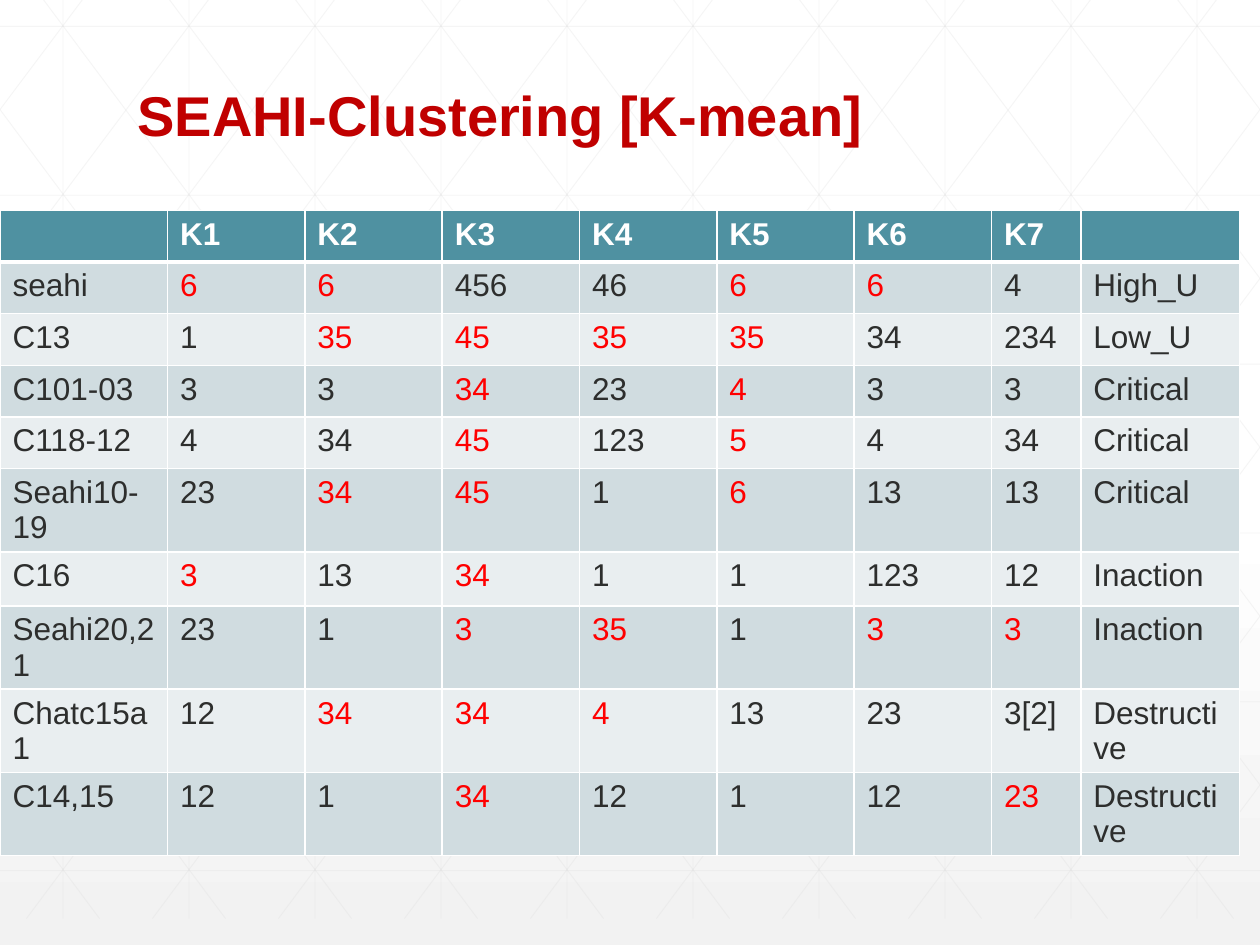
from lxml import etree
from pptx import Presentation
from pptx import util as u
from pptx.dml import color
from pptx.enum import shapes, text
from pptx.oxml import ns

PX = 9144  # 100 px to the inch
W, H = 1000, 750
COLORS = {
    "paper": "FFFFFF", "shade": "F2F2F2", "grid": "D9D9D9", "title": "C00000",
    "header": "4F91A1", "odd": "D0DCE0", "even": "E9EEF0",
    "ink": "2D2E2D", "mark": "FF0000", "border": "FFFFFF",
}

# A star marks a value shown in red
HEADER = ["", *(f"K{k}" for k in range(1, 8)), ""]
ROWS = [row.split() for row in (
    "seahi *6 *6 456 46 *6 *6 4 High_U",
    "C13 1 *35 *45 *35 *35 34 234 Low_U",
    "C101-03 3 3 *34 23 *4 3 3 Critical",
    "C118-12 4 34 *45 123 *5 4 34 Critical",
    "Seahi10-19 23 *34 *45 1 *6 13 13 Critical",
    "C16 *3 13 *34 1 1 123 12 Inaction",
    "Seahi20,21 23 1 *3 *35 1 *3 *3 Inaction",
    "Chatc15a1 12 *34 *34 *4 13 23 3[2] Destructive",
    "C14,15 12 1 *34 12 1 12 *23 Destructive",
)]
COL_WIDTHS = [133] + [109] * 6 + [71, 126]
ROW_HEIGHTS = [41] * 6 + [43] + [41] * 3


def rgb(name):
    return color.RGBColor.from_string(COLORS[name])


class Deck:
    def __init__(self):
        self.prs = Presentation()
        self.prs.slide_width, self.prs.slide_height = W * PX, H * PX
        self.s = self.prs.slides.add_slide(self.prs.slide_layouts[5])

    def background(self):
        fill = self.s.background.fill
        fill.gradient()
        fill.gradient_angle = 270
        for stop, name, pos in zip(fill.gradient_stops, ("paper", "shade"), (0.53, 1)):
            stop.color.rgb = rgb(name)
            stop.position = pos

    def add_text(self, tf, words, name, size, bold=False):
        p = tf.paragraphs[0]
        r = p.add_run()
        r.text = words
        for key, value in {"name": "Arial", "size": u.Pt(size), "bold": bold}.items():
            setattr(r.font, key, value)
        r.font.color.rgb = rgb(name)
        return p

    def title(self, words, x, y, w, h):
        sp = self.s.shapes.title
        box = {"left": x, "top": y, "width": w, "height": h}
        for key, value in box.items():
            setattr(sp, key, value * PX)
        tf = sp.text_frame
        fmt = {"word_wrap": True, "auto_size": text.MSO_AUTO_SIZE.NONE,
               "vertical_anchor": text.MSO_ANCHOR.BOTTOM}
        for key, value in fmt.items():
            setattr(tf, key, value)
        p = self.add_text(tf, words, "title", 32, True)
        p.alignment = text.PP_ALIGN.LEFT
        p.line_spacing = 0.9
        # Bring the title in front of the lattice
        sp.element.getparent().append(sp.element)

    def lines(self, ends):
        group = self.s.shapes.add_group_shape()
        for points in ends:
            line = group.shapes.add_connector(
                shapes.MSO_CONNECTOR.STRAIGHT, *(round(v) * PX for v in points))
            line.line.width = u.Pt(0.5)
            line.line.color.rgb = rgb("grid")
            sp_pr = line.element.spPr
            clr = sp_pr.find(".//" + ns.qn("a:srgbClr"))
            etree.SubElement(clr, ns.qn("a:alpha"), val="25000")
            etree.SubElement(sp_pr, ns.qn("a:effectLst"))

    def borders(self, cell, top, bottom):
        tc_pr = cell._tc.get_or_add_tcPr()
        for i, (side, pt) in enumerate(zip("LRTB", (1, 1, top, bottom))):
            ln = etree.Element(ns.qn(f"a:ln{side}"), w=str(u.Pt(pt)))
            fill = etree.SubElement(ln, ns.qn("a:solidFill"))
            etree.SubElement(fill, ns.qn("a:srgbClr"), val=COLORS["border"])
            tc_pr.insert(i, ln)

    def table(self, rows, x, y, widths, heights):
        frame = self.s.shapes.add_table(
            len(rows), len(widths), x * PX, y * PX, sum(widths) * PX, sum(heights) * PX)
        tbl = frame.table
        for col, w in zip(tbl.columns, widths):
            col.width = w * PX
        for i, (row, h, values) in enumerate(zip(tbl.rows, heights, rows)):
            row.height = h * PX
            head = i == 0
            band = "header" if head else "odd" if i % 2 else "even"
            for cell, value in zip(row.cells, values):
                cell.fill.solid()
                cell.fill.fore_color.rgb = rgb(band)
                self.borders(cell, 3 if i == 1 else 1, 3 if head else 1)
                name = "paper" if head else "mark" if value.startswith("*") else "ink"
                if value:
                    self.add_text(cell.text_frame, value.lstrip("*"), name, 18, head)


def lattice():
    top, bottom, run = -21, 729, 560
    slope = (bottom - top) / run
    ends = [(x, top, x, bottom) for x in range(50, W, 100)]
    ends += [(0, y, W, y) for y in range(21, H, 134)]
    # Diagonals cut off at the slide's sides, each with its mirror
    for start in range(-481, W, 100):
        x1, x2 = max(start, 0), min(start + run, W)
        y1, y2 = (top + (x - start) * slope for x in (x1, x2))
        ends += [(x1, y1, x2, y2), (W - x1, y1, W - x2, y2)]
    return ends


def main():
    deck = Deck()
    deck.background()
    deck.lines(lattice())
    deck.title("SEAHI-Clustering [K-mean]", 99, 57, 788, 66)
    deck.table([HEADER] + ROWS, 0, 167, COL_WIDTHS, ROW_HEIGHTS)
    deck.prs.save("out.pptx")


if __name__ == "__main__":
    main()
